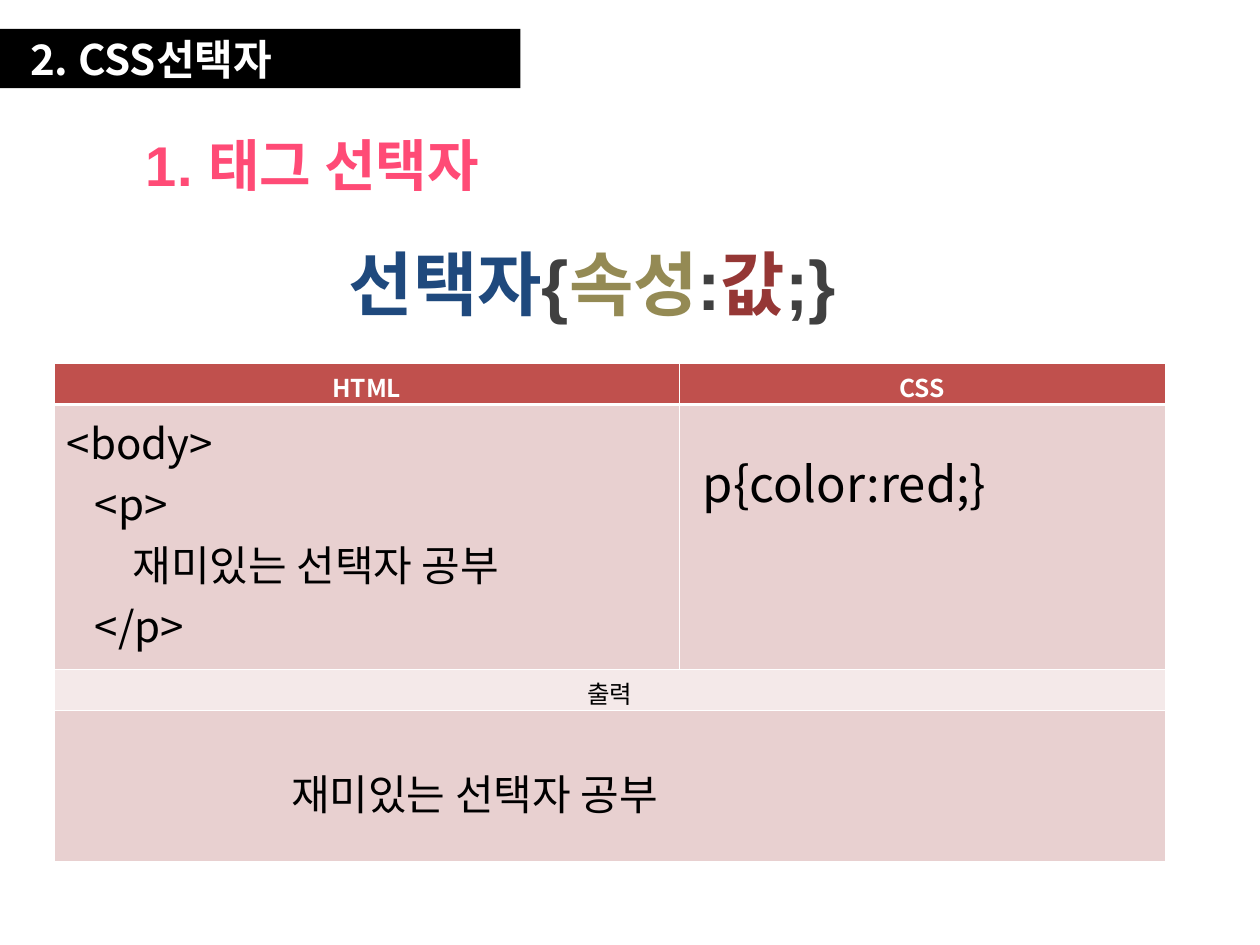
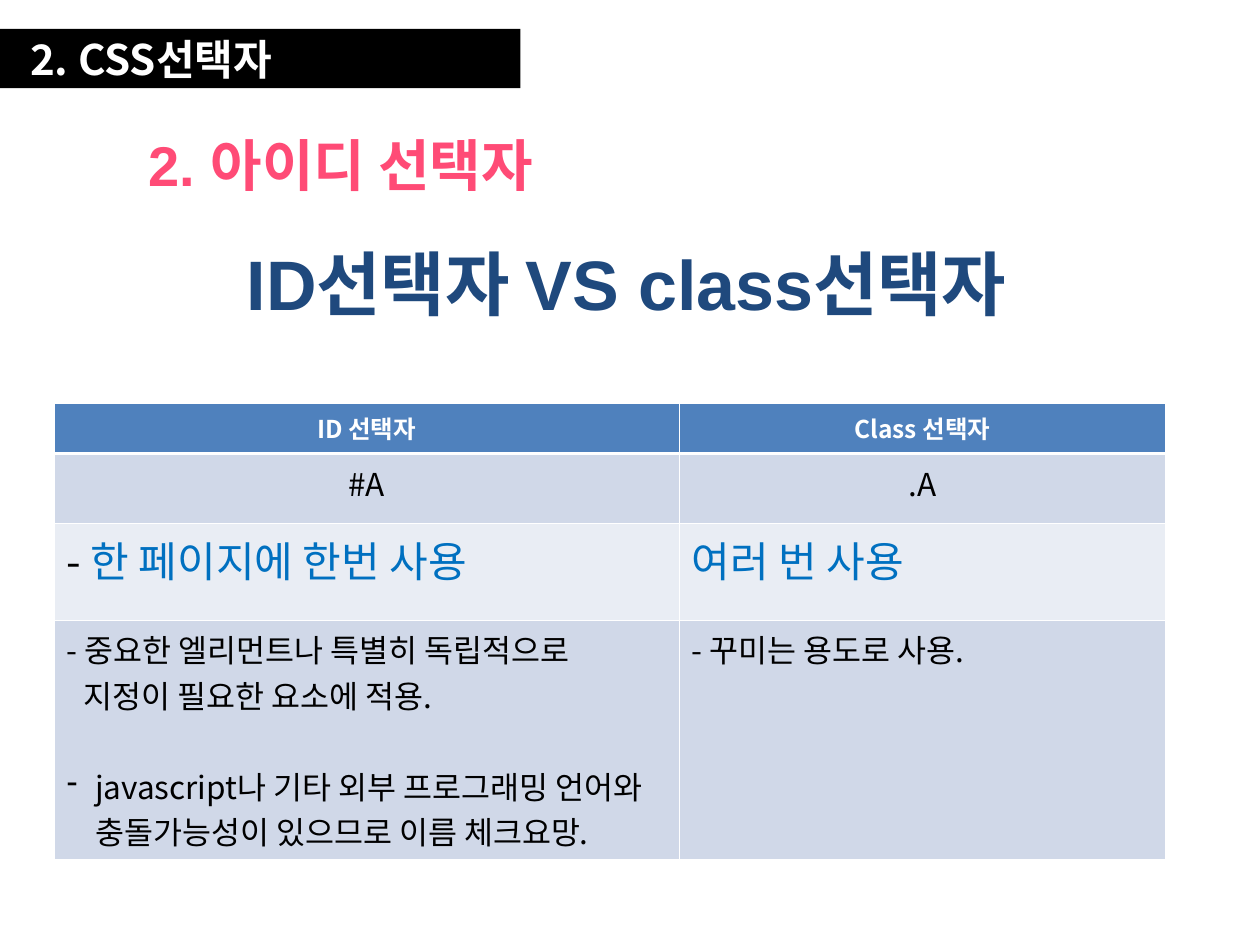
from dataclasses import dataclass

from lxml.etree import SubElement
from pptx import Presentation
from pptx.dml.color import RGBColor
from pptx.enum.shapes import MSO_SHAPE
from pptx.enum.text import MSO_ANCHOR, MSO_AUTO_SIZE, PP_ALIGN
from pptx.oxml.ns import qn
from pptx.util import Inches, Pt

# Shared style
HEADING_FONT = "Arial"
BODY_FONT = "Noto Sans CJK KR"
BLACK, WHITE, PINK, GRAY = "000000", "FFFFFF", "FF4B76", "404040"
NAVY, OLIVE, BRICK, BLUE = "1F497D", "948A54", "953735", "0070C0"
THIN, THICK = 0.45, 1.47

# Grid: 100 columns by 75 rows on every slide
GRID_COLUMNS, GRID_ROWS = 100, 75
TABLE_LEFT, TABLE_COLUMNS = 4.3, [49.6, 38.6]


def color(hex_string):
    return RGBColor.from_string(hex_string)


@dataclass
class Line:
    """One paragraph: pieces of (text, colour) with its indents."""
    pieces: list
    indent: float = 0
    bullet: str = ""
    space_before: float = 0


@dataclass
class Cell:
    lines: list
    size: float = 14
    fill: str = WHITE
    centered: bool = False
    bold: bool = False
    left: float = 1
    top: float = 0.5


def plain(text, text_color=BLACK, **layout):
    return Line([(text, text_color)], **layout)


def centered_cell(text, size, fill):
    return Cell([plain(text)], size, fill, centered=True)


def header_row(titles, fill):
    return [Cell([plain(title, WHITE)], 14, fill, centered=True, bold=True) for title in titles]


class Deck:
    def __init__(self):
        self.presentation = Presentation()
        self.presentation.slide_width = Inches(10)
        self.presentation.slide_height = Inches(7.5)
        self.slide = None

    def columns(self, count):
        return round(self.presentation.slide_width * count / GRID_COLUMNS)

    def rows(self, count):
        return round(self.presentation.slide_height * count / GRID_ROWS)

    def box(self, left, top, width, height):
        return self.columns(left), self.rows(top), self.columns(width), self.rows(height)

    def add_slide(self, subtitle, subtitle_box, headline, headline_box):
        self.slide = self.presentation.slides.add_slide(self.presentation.slide_layouts[6])
        self.banner("2. CSS선택자")
        self.heading(plain(subtitle, PINK), 32, *subtitle_box)
        self.heading(headline, 40, *headline_box)

    def set_line(self, paragraph, line, size, font_name, bold):
        """Fill one paragraph and format its runs."""
        properties = paragraph._p.get_or_add_pPr()
        if line.space_before:
            paragraph.space_before = Pt(line.space_before)
        if line.indent:
            properties.set("marL", str(self.columns(line.indent)))
        if line.bullet:
            properties.set("indent", str(-self.columns(line.indent)))
            SubElement(properties, qn("a:buChar")).set("char", line.bullet)
        for text, text_color in line.pieces:
            run = paragraph.add_run()
            run.text = text
            run.font.size = Pt(size)
            run.font.bold = bold
            run.font.color.rgb = color(text_color)
            run.font.name = font_name
            SubElement(run._r.get_or_add_rPr(), qn("a:ea")).set("typeface", BODY_FONT)

    def banner(self, title):
        shape = self.slide.shapes.add_shape(MSO_SHAPE.RECTANGLE, *self.box(0, 2.3, 41.3, 4.7))
        shape.shadow.inherit = False
        shape.fill.solid()
        shape.fill.fore_color.rgb = color(BLACK)
        shape.line.fill.background()
        text_frame = shape.text_frame
        text_frame.margin_left = self.columns(2.4)
        text_frame.vertical_anchor = MSO_ANCHOR.MIDDLE
        text_frame.paragraphs[0].alignment = PP_ALIGN.LEFT
        self.set_line(text_frame.paragraphs[0], plain(title, WHITE), 24, BODY_FONT, True)

    def heading(self, line, size, *place):
        text_frame = self.slide.shapes.add_textbox(*self.box(*place)).text_frame
        text_frame.word_wrap = False
        text_frame.auto_size = MSO_AUTO_SIZE.SHAPE_TO_FIT_TEXT
        self.set_line(text_frame.paragraphs[0], line, size, HEADING_FONT, True)

    def borders(self, table_cell, top, bottom):
        properties = table_cell._tc.get_or_add_tcPr()
        for side, width in zip("LRTB", (THIN, THIN, top, bottom)):
            border = SubElement(properties, qn(f"a:ln{side}"), w=str(Pt(width)))
            fill = SubElement(border, qn("a:solidFill"))
            SubElement(fill, qn("a:srgbClr"), val=WHITE)

    def fill_cell(self, table_cell, cell):
        table_cell.margin_left, table_cell.margin_top = self.columns(cell.left), self.rows(cell.top)
        table_cell.margin_bottom = 0
        table_cell.fill.solid()
        table_cell.fill.fore_color.rgb = color(cell.fill)
        text_frame = table_cell.text_frame
        for index, line in enumerate(cell.lines):
            paragraph = text_frame.add_paragraph() if index else text_frame.paragraphs[0]
            paragraph.alignment = PP_ALIGN.CENTER if cell.centered else PP_ALIGN.LEFT
            self.set_line(paragraph, line, cell.size, BODY_FONT, cell.bold)

    def table(self, top, heights, content):
        """A row with a single cell spans the whole table."""
        place = self.box(TABLE_LEFT, top, sum(TABLE_COLUMNS), sum(heights))
        table = self.slide.shapes.add_table(len(heights), len(TABLE_COLUMNS), *place).table
        table.first_row = table.horz_banding = False
        for column, width in zip(table.columns, TABLE_COLUMNS):
            column.width = self.columns(width)
        for row_index, (height, cells) in enumerate(zip(heights, content)):
            table.rows[row_index].height = self.rows(height)
            if len(cells) == 1:
                table.cell(row_index, 0).merge(table.cell(row_index, len(TABLE_COLUMNS) - 1))
            for column_index, cell in enumerate(cells):
                table_cell = table.cell(row_index, column_index)
                self.borders(table_cell, THICK if row_index == 1 else THIN,
                             THICK if row_index == 0 else THIN)
                self.fill_cell(table_cell, cell)


def tag_selector_slide(deck):
    headline = Line([("선택자", NAVY), ("{", GRAY), ("속성", OLIVE),
                     (":", GRAY), ("값", BRICK), (";}", GRAY)])
    deck.add_slide("1. 태그 선택자", (10.6, 9.9, 29.7, 6.4), headline, (26.7, 18.6, 47.3, 7.7))

    rose, pale_rose = "E8D0D0", "F4E9E9"
    html_code = ["<body>", "   <p>", "       재미있는 선택자 공부", "   </p>"]
    deck.table(28.8, [3.3, 21, 3.3, 12], [
        header_row(["HTML", "CSS"], "C0504D"),
        [Cell([plain(code) for code in html_code], 24, rose),
         Cell([plain(" p{color:red;}")], 28, rose, top=3.3)],
        [centered_cell("출력", 14, pale_rose)],
        [Cell([plain("재미있는 선택자 공부")], 24, rose, left=18.8, top=4.1)],
    ])


def id_selector_slide(deck):
    deck.add_slide("2. 아이디 선택자", (10.8, 9.9, 33.8, 6.4),
                   plain("ID선택자 VS class선택자", NAVY), (18.6, 18.6, 66.5, 7.7))

    sky, pale_sky = "D0D8E8", "E9EDF4"
    id_notes = [
        plain("- 중요한 엘리먼트나 특별히 독립적으로"),
        plain("지정이 필요한 요소에 적용.", indent=1.3),
        plain("javascript나 기타 외부 프로그래밍 언어와 충돌가능성이 있으므로 이름 체크요망.",
              indent=2.25, bullet="-", space_before=26),
    ]
    deck.table(32, [4, 5.5, 7.7, 19], [
        header_row(["ID 선택자", "Class 선택자"], "4F81BD"),
        [centered_cell(selector, 18, sky) for selector in ("#A", ".A")],
        [Cell([Line([("- ", BLACK), ("한 페이지에 한번 사용", BLUE)])], 24, pale_sky),
         Cell([plain("여러 번 사용", BLUE)], 24, pale_sky)],
        [Cell(id_notes, 18, sky), Cell([plain("- 꾸미는 용도로 사용.")], 18, sky)],
    ])


def main():
    deck = Deck()
    tag_selector_slide(deck)
    id_selector_slide(deck)
    deck.presentation.save("out.pptx")


if __name__ == "__main__":
    main()
